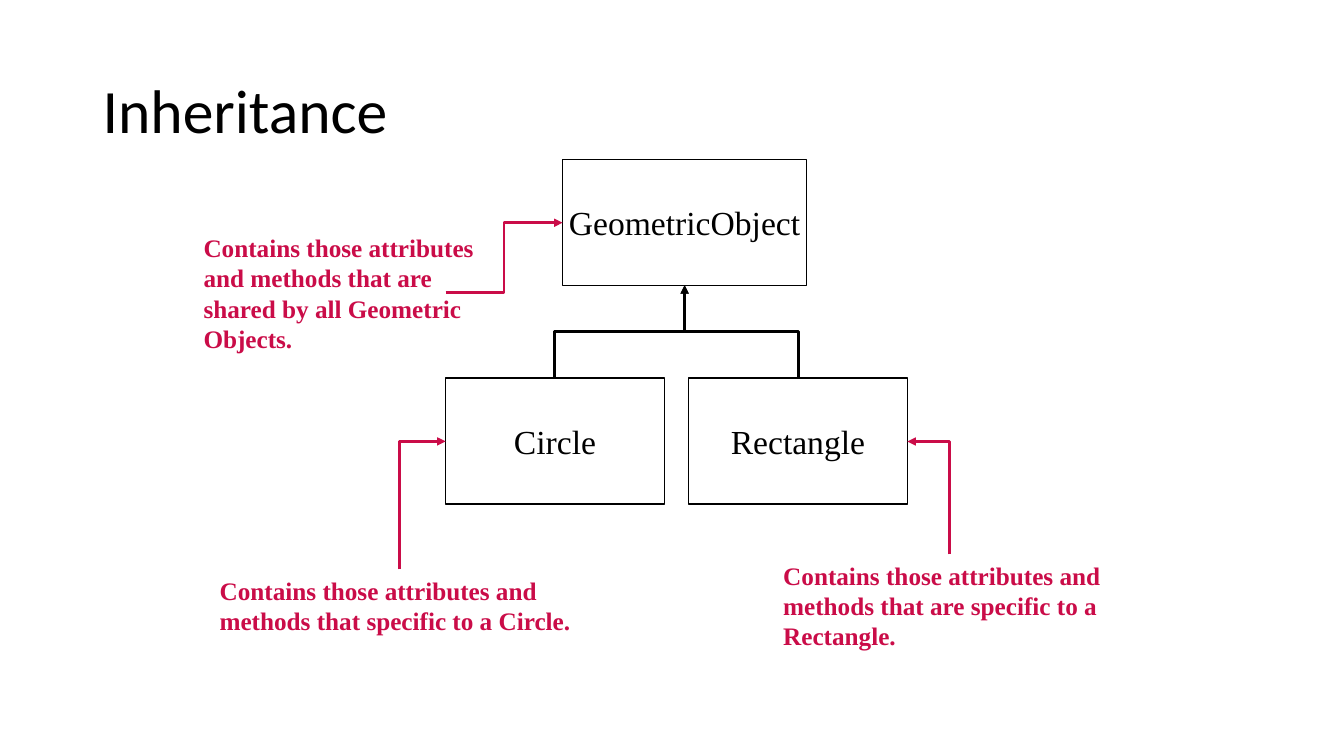
from lxml import etree
from pptx import Presentation
from pptx.dml.color import RGBColor
from pptx.enum.shapes import MSO_CONNECTOR, MSO_SHAPE
from pptx.enum.text import MSO_ANCHOR, PP_ALIGN
from pptx.oxml.ns import qn
from pptx.util import Inches, Pt

BLACK = RGBColor(0x00, 0x00, 0x00)
WHITE = RGBColor(0xFF, 0xFF, 0xFF)
CRIMSON = RGBColor(0xCA, 0x0C, 0x48)
SERIF = "Times New Roman"


def write(shape, text, size, font, color, bold=False, align=PP_ALIGN.LEFT, wrap=True):
    frame = shape.text_frame
    frame.word_wrap = wrap
    frame.vertical_anchor = MSO_ANCHOR.MIDDLE
    paragraph = frame.paragraphs[0]
    paragraph.alignment = align
    run = paragraph.add_run()
    run.text = text
    run.font.size = Pt(size)
    run.font.name = font
    run.font.bold = bold
    run.font.color.rgb = color
    return paragraph


def add_title(slide, text):
    title = slide.shapes.add_textbox(Inches(0.92), Inches(0.4), Inches(11.5), Inches(1.45))
    write(title, text, 44, "Calibri", BLACK).line_spacing = 0.9


def add_class_box(slide, name, left, top, width):
    box = slide.shapes.add_shape(
        MSO_SHAPE.RECTANGLE, Inches(left), Inches(top), Inches(width), Inches(1.25))
    box.shadow.inherit = False
    box.fill.solid()
    box.fill.fore_color.rgb = WHITE
    box.line.color.rgb = BLACK
    box.line.width = Pt(1)
    write(box, name, 24, SERIF, BLACK, align=PP_ALIGN.CENTER, wrap=False)


def add_note(slide, text, left, top, width, height):
    note = slide.shapes.add_textbox(Inches(left), Inches(top), Inches(width), Inches(height))
    write(note, text, 18, SERIF, CRIMSON, bold=True)


def add_elbow(slide, start, end, color):
    """Elbow arrow that leaves its start horizontally."""
    arrow = slide.shapes.add_connector(
        MSO_CONNECTOR.ELBOW, *(Inches(value) for value in (*start, *end)))
    arrow.line.color.rgb = color
    arrow.line.width = Pt(2)
    properties = arrow.element.spPr
    etree.SubElement(properties.find(qn("a:ln")), qn("a:tailEnd"), type="triangle")
    etree.SubElement(properties, qn("a:effectLst"))
    return arrow


def add_rising_elbow(slide, start, end, color, preset="bentConnector3"):
    """Elbow arrow that leaves its start upwards: a quarter-turned elbow."""
    (x1, y1), (x2, y2) = start, end
    center_x, center_y = (x1 + x2) / 2, (y1 + y2) / 2
    half_width, half_height = (y1 - y2) / 2, abs(x2 - x1) / 2
    arrow = add_elbow(slide, (center_x - half_width, center_y - half_height),
                      (center_x + half_width, center_y + half_height), color)
    properties = arrow.element.spPr
    frame = properties.find(qn("a:xfrm"))
    frame.set("rot", str(90 * 60000))
    frame.set("flipH", "1")
    if x2 > x1:
        frame.set("flipV", "1")
    properties.find(qn("a:prstGeom")).set("prst", preset)


def main():
    prs = Presentation()
    prs.slide_width, prs.slide_height = Inches(13.33), Inches(7.5)
    slide = prs.slides.add_slide(prs.slide_layouts[6])
    add_title(slide, "Inheritance")

    # Class hierarchy
    add_class_box(slide, "GeometricObject", 5.58, 1.58, 2.42)
    add_class_box(slide, "Rectangle", 6.83, 3.75, 2.17)
    add_class_box(slide, "Circle", 4.42, 3.75, 2.17)
    for subclass_x in (5.5, 7.92):
        add_rising_elbow(slide, (subclass_x, 3.75), (6.79, 2.83), BLACK)

    # Notes on the superclass and the subclasses
    add_note(slide, "Contains those attributes and methods that are shared by all "
             "Geometric Objects.", 1.92, 2.25, 3.08, 1.31)
    add_elbow(slide, (4.42, 2.9), (5.58, 2.21), CRIMSON)
    add_note(slide, "Contains those attributes and methods that specific to a Circle.",
             2.08, 5.65, 3.75, 0.71)
    add_rising_elbow(slide, (3.96, 5.65), (4.42, 4.38), CRIMSON, "bentConnector2")
    add_note(slide, "Contains those attributes and methods that are specific to a Rectangle.",
             7.67, 5.5, 3.5, 1.01)
    add_rising_elbow(slide, (9.42, 5.5), (9, 4.38), CRIMSON, "bentConnector2")

    prs.save("out.pptx")


if __name__ == "__main__":
    main()
